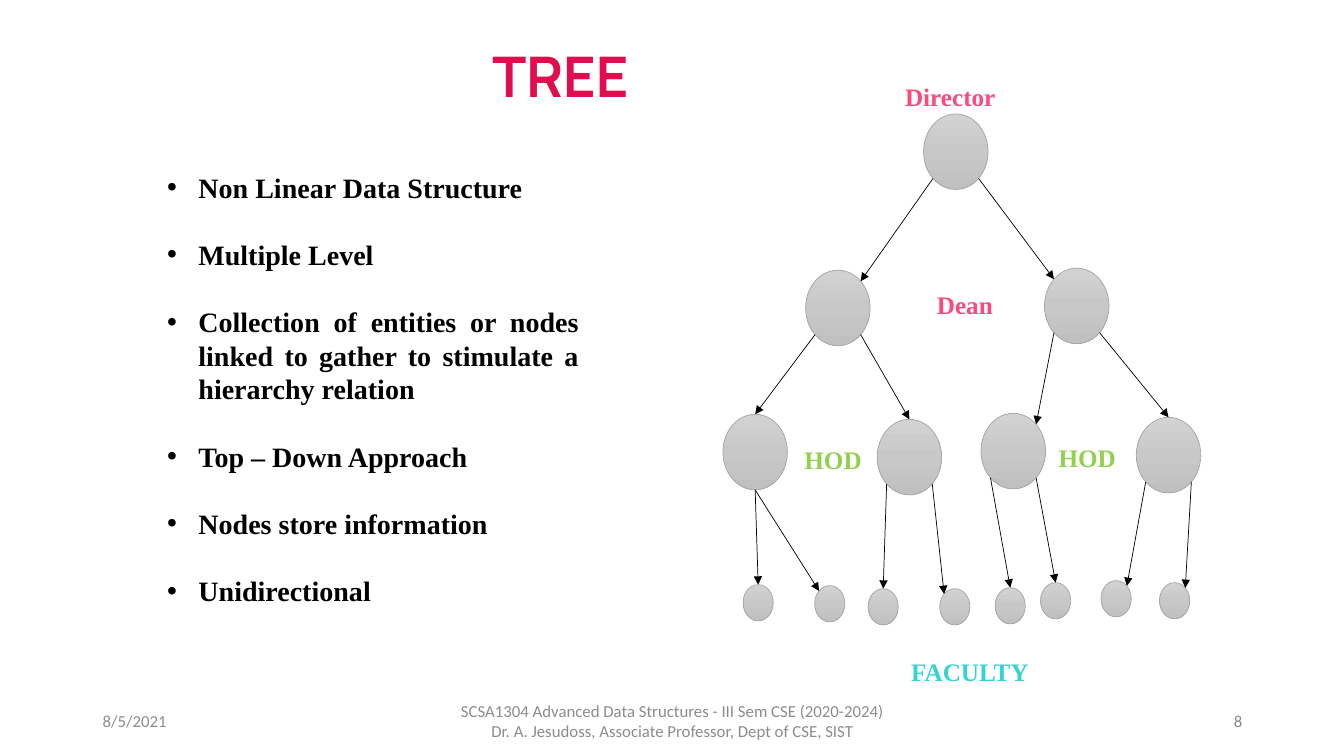
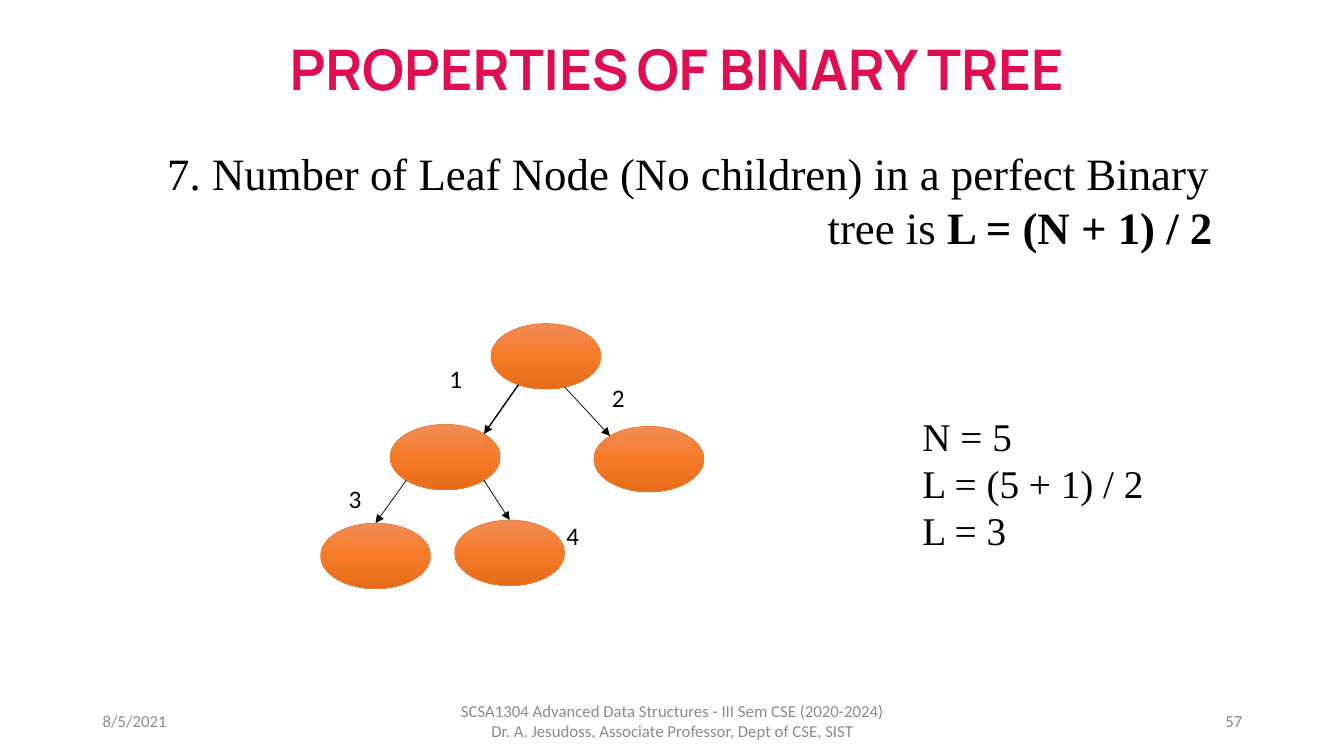
"""Build two lecture slides on trees and the leaf count of a perfect binary tree."""
from copy import deepcopy
from dataclasses import dataclass
from math import cos, radians, sin

from lxml import etree
from pptx import Presentation
from pptx.dml.color import RGBColor
from pptx.enum import shapes, text
from pptx.oxml import ns
from pptx.util import Inches, Pt

COLORS = {
    "title": "E00D50", "ink": "000000", "footer": "8C8C8C", "page": "898989",
    "rank": "FC4A7E", "hod": "92D050", "faculty": "34D4D0",
    "grey_line": "A5A5A5", "orange_line": "ED7D31",
}
GREY = ("D2D2D2", "C8C8C8", "C0C0C0")
ORANGE = ("F18C57", "F67B28", "E56C19")
SERIF, SANS, DISPLAY = "Times New Roman", "Calibri", "Manrope"
LEFT, CENTER, RIGHT = text.PP_ALIGN.LEFT, text.PP_ALIGN.CENTER, text.PP_ALIGN.RIGHT
TOP, MIDDLE = text.MSO_ANCHOR.TOP, text.MSO_ANCHOR.MIDDLE
N, NW, SW, S, SE, NE = 0, 45, 135, 180, 225, 315


@dataclass(frozen=True)
class Style:
    size: float
    font: str = SERIF
    color: str = "ink"
    bold: bool = False


@dataclass(frozen=True)
class Box:
    left: float
    top: float
    width: float
    height: float

    def rim(self, angle: float) -> tuple:
        """Return the point of the inscribed ellipse, anticlockwise from the top."""
        turn = radians(angle)
        return (Inches(self.left + self.width / 2 * (1 - sin(turn))),
                Inches(self.top + self.height / 2 * (1 - cos(turn))))


@dataclass(frozen=True)
class Edge:
    parent: str
    leave: float
    child: str
    arrive: float
    weight: float = 0.5


@dataclass(frozen=True)
class Label:
    words: str
    box: Box
    style: Style
    align: text.PP_ALIGN = LEFT


TITLE = Style(40, DISPLAY, "title", True)
TITLE_GAP = Style(24, bold=True)
BULLET = Style(20, bold=True)
FOOTER = Style(12, SANS, "footer")
RANK = Style(18, SERIF, "rank", True)
HOD = Style(18, SERIF, "hod", True)
NUMBER = Style(18, SANS)


def place(shape, box: Box) -> None:
    """Move and size a shape."""
    shape.left, shape.top = Inches(box.left), Inches(box.top)
    shape.width, shape.height = Inches(box.width), Inches(box.height)


def add_run(paragraph, words: str, style: Style) -> None:
    """Append one formatted run."""
    run = paragraph.add_run()
    run.text = words
    run.font.size, run.font.name, run.font.bold = Pt(style.size), style.font, style.bold
    run.font.color.rgb = RGBColor.from_string(COLORS[style.color])


def add_text(slide, box: Box, anchor=TOP):
    """Add an empty wrapping text frame."""
    frame = slide.shapes.add_textbox(0, 0, 0, 0)
    place(frame, box)
    frame.text_frame.word_wrap = True
    frame.text_frame.vertical_anchor = anchor
    return frame.text_frame


def next_paragraph(frame, first: bool):
    """Return the opening paragraph or a new one."""
    return frame.paragraphs[0] if first else frame.add_paragraph()


def add_label(slide, label: Label, anchor=TOP) -> None:
    """Add text whose lines are split by line breaks."""
    paragraph = add_text(slide, label.box, anchor).paragraphs[0]
    paragraph.alignment = label.align
    for index, line in enumerate(label.words.split("\n")):
        if index:
            paragraph.add_line_break()
        add_run(paragraph, line, label.style)


def add_title(slide, box: Box, runs: list) -> None:
    """Move and fill the title placeholder."""
    title = slide.shapes.title
    place(title, box)
    frame = title.text_frame
    frame.word_wrap, frame.vertical_anchor = True, TOP
    frame.auto_size = text.MSO_AUTO_SIZE.NONE
    frame.paragraphs[0].alignment = CENTER
    for words, style in runs:
        add_run(frame.paragraphs[0], words, style)


def add_footer(slide, page: str) -> None:
    """Add the course line, page number and date."""
    course = ("SCSA1304 Advanced Data Structures - III Sem CSE (2020-2024)\n"
              "Dr. A. Jesudoss, Associate Professor, Dept of CSE, SIST")
    for label in (
        Label(course, Box(4.42, 6.95, 4.5, 0.4), FOOTER, CENTER),
        Label(page, Box(9.42, 6.95, 3, 0.4), Style(12, SANS, "page"), RIGHT),
        Label("8/5/2021", Box(0.92, 6.95, 3, 0.4), FOOTER),
    ):
        add_label(slide, label, MIDDLE)


def add_node(slide, box: Box, gradient: tuple, line: str) -> None:
    """Draw an ellipse with a three-stop vertical gradient."""
    node = slide.shapes.add_shape(shapes.MSO_SHAPE.OVAL, 0, 0, 0, 0)
    place(node, box)
    node.shadow.inherit = False
    node.fill.gradient()
    node.fill.gradient_angle = 270
    stop_list = node._element.spPr.find(".//" + ns.qn("a:gsLst"))
    stop_list.insert(1, deepcopy(stop_list[0]))
    for index, (stop, color) in enumerate(zip(node.fill.gradient_stops, gradient)):
        stop.position = index / 2
        stop.color.rgb = RGBColor.from_string(color)
    node.line.color.rgb = RGBColor.from_string(COLORS[line])
    node.line.width = Pt(0.5)


def add_tree(slide, nodes: dict, edges: list, gradient: tuple, line: str) -> None:
    """Draw the nodes and the arrows between their rims."""
    for box in nodes.values():
        add_node(slide, box, gradient, line)
    for edge in edges:
        arrow = slide.shapes.add_connector(
            shapes.MSO_CONNECTOR.STRAIGHT,
            *nodes[edge.parent].rim(edge.leave), *nodes[edge.child].rim(edge.arrive))
        arrow.line.color.rgb = RGBColor.from_string(COLORS["ink"])
        arrow.line.width = Pt(edge.weight)
        properties = arrow._element.spPr
        etree.SubElement(properties.find(ns.qn("a:ln")), ns.qn("a:tailEnd"), type="triangle")
        etree.SubElement(properties, ns.qn("a:effectLst"))


def add_bullets(slide, box: Box, points: list) -> None:
    """Add justified bullet points with a line of space between them."""
    frame = add_text(slide, box)
    for index, point in enumerate(points):
        paragraph = next_paragraph(frame, index == 0)
        paragraph.alignment = text.PP_ALIGN.JUSTIFY
        if index:
            paragraph.space_before = Pt(24)
        properties = paragraph._p.get_or_add_pPr()
        properties.set("marL", str(Inches(0.31)))
        properties.set("indent", str(-Inches(0.31)))
        etree.SubElement(properties, ns.qn("a:buFont"), typeface="Arial")
        etree.SubElement(properties, ns.qn("a:buChar"), char="•")
        add_run(paragraph, point, BULLET)


def build_tree_slide(slide) -> None:
    """Show the tree features beside a staff hierarchy."""
    add_title(slide, Box(4.31, 0.36, 2.5, 0.77), [("TREE", TITLE)])
    add_bullets(slide, Box(1.56, 1.64, 4.28, 4.48), [
        "Non Linear Data Structure", "Multiple Level",
        "Collection of entities or nodes linked to gather to stimulate a hierarchy relation",
        "Top – Down Approach", "Nodes store information", "Unidirectional"])
    staff = {
        "director": (9.16, 1.13), "dean 1": (7.99, 2.68), "dean 2": (10.36, 2.66),
        "hod 1": (7.17, 4.11), "hod 2": (8.7, 4.16),
        "hod 3": (9.73, 4.1), "hod 4": (11.27, 4.14),
    }
    faculty = [(7.37, 5.8), (8.08, 5.81), (8.61, 5.84), (9.32, 5.84),
               (9.87, 5.83), (10.32, 5.78), (10.92, 5.76), (11.5, 5.78)]
    nodes = {name: Box(*corner, 0.64, 0.75) for name, corner in staff.items()}
    nodes |= {f"faculty {i}": Box(*corner, 0.3, 0.36) for i, corner in enumerate(faculty, 1)}
    edges = [
        Edge("director", SW, "dean 1", NE), Edge("director", SE, "dean 2", NW),
        Edge("dean 1", SW, "hod 1", N), Edge("dean 1", SE, "hod 2", N),
        Edge("dean 2", SW, "hod 3", NE), Edge("dean 2", SE, "hod 4", N),
    ]
    arrivals = (N, NW, N, NW, N, N, NE, NE)
    for index, arrive in enumerate(arrivals):
        head = index // 2 + 1
        leave = S if head == 1 else (SW, SE)[index % 2]
        edges.append(Edge(f"hod {head}", leave, f"faculty {index + 1}", arrive))
    add_tree(slide, nodes, edges, GREY, "grey_line")
    for label in (
        Label("Director", Box(8.47, 0.76, 1.91, 0.4), RANK, CENTER),
        Label("Dean", Box(8.88, 2.82, 1.38, 0.4), RANK, CENTER),
        Label("HOD", Box(7.88, 4.36, 0.85, 0.4), HOD),
        Label("HOD", Box(10.4, 4.34, 0.85, 0.4), HOD),
        Label("FACULTY", Box(7.95, 6.46, 3.34, 0.4),
              Style(18, SERIF, "faculty", True), CENTER),
    ):
        add_label(slide, label)
    add_footer(slide, "8")


def build_leaf_slide(slide) -> None:
    """Show the leaf formula with a five-node example."""
    add_title(slide, Box(2.3, 0.29, 8.82, 0.77), [
        ("PROPERTIES", TITLE), (" ", TITLE_GAP), ("OF BINARY TREE", TITLE)])
    rule = add_text(slide, Box(1.56, 1.4, 10.85, 1.52))
    add_run(rule.paragraphs[0],
            "7. Number of Leaf Node (No children) in a perfect Binary", Style(32))
    formula = rule.add_paragraph()
    formula._p.get_or_add_pPr().set("marL", str(Inches(6.55)))
    add_run(formula, "tree is ", Style(32))
    add_run(formula, "L = (N + 1) / 2", Style(32, bold=True))
    working = add_text(slide, Box(9.05, 4.04, 2.75, 1.51))
    for index, step in enumerate(("N = 5", "L = (5 + 1) / 2", "L = 3")):
        add_run(next_paragraph(working, index == 0), step, Style(28))
    corners = {"root": (4.87, 3.21), "left": (3.87, 4.21), "right": (5.89, 4.23),
               "left leaf": (3.18, 5.19), "right leaf": (4.51, 5.16)}
    nodes = {name: Box(*corner, 1.09, 0.65) for name, corner in corners.items()}
    add_tree(slide, nodes, [
        Edge("root", 150, "left", NE, 1), Edge("root", 200, "right", NW),
        Edge("left", SW, "left leaf", N), Edge("left", SE, "right leaf", N),
    ], ORANGE, "orange_line")
    numbers = [(4.36, 3.56), (5.97, 3.74), (3.36, 4.75), (5.52, 5.11)]
    for number, corner in enumerate(numbers, 1):
        add_label(slide, Label(str(number), Box(*corner, 0.74, 0.4), NUMBER))
    add_footer(slide, "57")


def main() -> None:
    """Build and save the presentation."""
    deck = Presentation()
    deck.slide_width, deck.slide_height = Inches(13.33), Inches(7.5)
    for build in (build_tree_slide, build_leaf_slide):
        build(deck.slides.add_slide(deck.slide_layouts[5]))
    deck.save("out.pptx")


if __name__ == "__main__":
    main()
